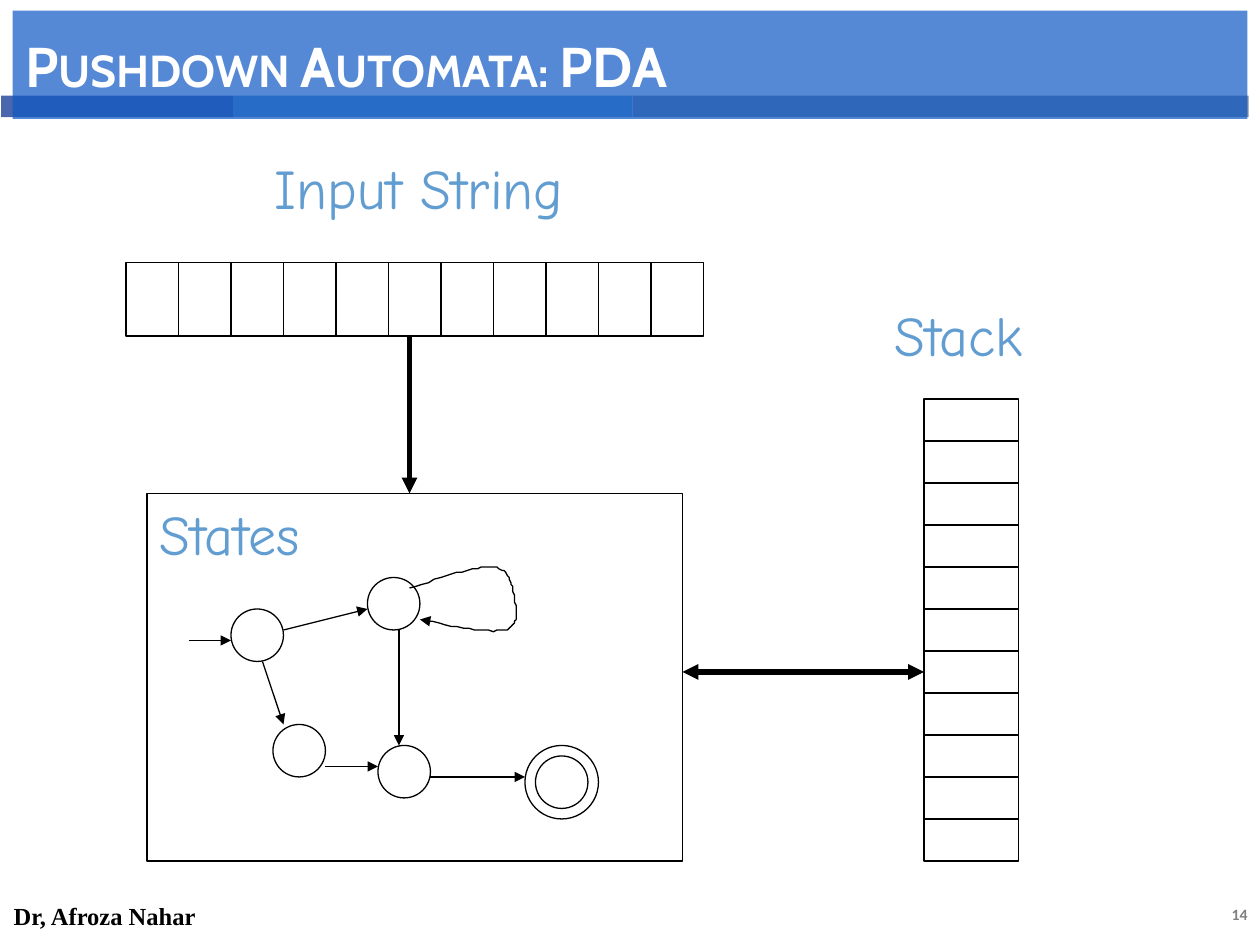
from dataclasses import dataclass

from pptx import Presentation
from pptx.dml.color import RGBColor
from pptx.enum.shapes import MSO_CONNECTOR, MSO_SHAPE
from pptx.enum.text import MSO_ANCHOR, PP_ALIGN
from pptx.oxml.ns import qn
from pptx.util import Pt
from lxml.etree import SubElement


@dataclass(frozen=True)
class Theme:
    """Colours, fonts, type sizes and line widths of the slide."""
    title_bar: str = "0E58C4"
    stripes: tuple = ("4A66AC", "629DD1", "7F8FA9")
    label: str = "629DD1"
    ink: str = "000000"
    white: str = "FFFFFF"
    grey: str = "808080"
    title_font: str = "Cabin"
    label_font: str = "Comic Neue"
    footer_font: str = "Times New Roman"
    number_font: str = "Calibri"
    large: float = 32
    footer: float = 14
    number: float = 9
    thin: float = 0.75
    thick: float = 3


THEME = Theme()


def write_text(shape, text, font, size, color, bold=False, align=PP_ALIGN.LEFT,
               anchor=MSO_ANCHOR.TOP, space_before=0, wrap=True, small_caps=False):
    """Put one formatted paragraph into a shape."""
    frame = shape.text_frame
    frame.word_wrap = wrap
    frame.vertical_anchor = anchor
    paragraph = frame.paragraphs[0]
    paragraph.alignment = align
    paragraph.space_before = Pt(space_before)
    run = paragraph.add_run()
    run.text = text
    run.font.name = font
    run.font.size = Pt(size)
    run.font.bold = bold
    run.font.color.rgb = RGBColor.from_string(color)
    if small_caps:
        run.font._element.set("cap", "small")


def add_text(shapes, box, text, **text_format):
    """Add a text box at left, top, width, height."""
    write_text(shapes.add_textbox(*map(Pt, box)), text, **text_format)


def add_label(shapes, box, text):
    """Add a large label naming a part of the automaton."""
    add_text(shapes, box, text, font=THEME.label_font, size=THEME.large,
             color=THEME.label, space_before=6.4, wrap=False)


def draw_line(shape, width):
    """Give a shape or connector a solid ink line."""
    shape.line.color.rgb = RGBColor.from_string(THEME.ink)
    shape.line.width = Pt(width)


def add_arrowheads(shape, *ends):
    """Add triangles to the named ends, headEnd before tailEnd."""
    line = shape._element.spPr.find(qn("a:ln"))
    for end in ends:
        SubElement(line, qn(f"a:{end}"), type="triangle")


def add_outline(shapes, kind, box):
    """Add an unfilled preset shape with a thin outline."""
    shape = shapes.add_shape(kind, *map(Pt, box))
    shape.shadow.inherit = False
    shape.fill.background()
    draw_line(shape, THEME.thin)


def add_line(shapes, start, end, *ends, width=THEME.thin):
    """Add a straight connector with optional arrowheads."""
    connector = shapes.add_connector(MSO_CONNECTOR.STRAIGHT, *map(Pt, start + end))
    draw_line(connector, width)
    add_arrowheads(connector, *ends)
    SubElement(connector._element.spPr, qn("a:effectLst"))


def bezier_points(start, curves, steps=16):
    """Return points along a chain of cubic curves."""
    points = [start]
    for first, second, end in curves:
        for step in range(1, steps + 1):
            t = step / steps
            weights = ((1 - t) ** 3, 3 * t * (1 - t) ** 2, 3 * t * t * (1 - t), t ** 3)
            anchors = (start, first, second, end)
            points.append(tuple(sum(w * a[axis] for w, a in zip(weights, anchors))
                                for axis in (0, 1)))
        start = end
    return points


def add_loop(shapes, start, curves):
    """Add the curved arrow from a state back to itself."""
    points = bezier_points(start, curves)
    builder = shapes.build_freeform(*points[0], scale=Pt(1))
    builder.add_line_segments(points[1:], close=False)
    loop = builder.convert_to_shape()
    loop.shadow.inherit = False
    loop.fill.background()
    draw_line(loop, THEME.thin)
    add_arrowheads(loop, "tailEnd")


def add_cells(shapes, box, count, across):
    """Add a box divided into equal cells, across or down."""
    left, top, width, height = box
    add_outline(shapes, MSO_SHAPE.RECTANGLE, box)
    for index in range(1, count):
        if across:
            x = left + width * index / count
            add_line(shapes, (x, top), (x, top + height))
        else:
            y = top + height * index / count
            add_line(shapes, (left, y), (left + width, y))


def add_stripes(shapes):
    """Add the three coloured stripes under the title bar."""
    edges = (0.72, 133.2, 361.44, 713.52)
    for color, left, right in zip(THEME.stripes, edges, edges[1:]):
        stripe = shapes.add_shape(MSO_SHAPE.RECTANGLE, Pt(left), Pt(54.72),
                                  Pt(right - left), Pt(12.24))
        stripe.shadow.inherit = False
        stripe.fill.solid()
        stripe.fill.fore_color.rgb = RGBColor.from_string(color)
        stripe.line.fill.background()


def add_title(slide, text):
    """Format the title as a translucent bar in front of the stripes."""
    title = slide.shapes.title
    title.left, title.top, title.width, title.height = map(Pt, (7.2, 6, 705.6, 61.92))
    title.fill.solid()
    title.fill.fore_color.rgb = RGBColor.from_string(THEME.title_bar)
    color = title._element.spPr.find(qn("a:solidFill"))[0]
    SubElement(color, qn("a:alpha"), val="70000")
    write_text(title, text, font=THEME.title_font, size=THEME.large, color=THEME.white,
               bold=True, anchor=MSO_ANCHOR.MIDDLE, space_before=6, small_caps=True)
    slide.shapes._spTree.append(title._element)


def add_states(shapes):
    """Add the state diagram inside its frame."""
    add_outline(shapes, MSO_SHAPE.RECTANGLE, (84, 282, 306, 210))
    circles = ((132, 348, 30), (216, 426, 30), (210, 330, 30),
               (306, 432, 30), (300, 426, 42), (156, 414, 30))
    for left, top, size in circles:
        add_outline(shapes, MSO_SHAPE.OVAL, (left, top, size, size))
    transitions = (((162, 360), (210, 348)), ((108, 366), (132, 366)),
                   ((246, 444), (300, 444)), ((186, 438), (216, 438)),
                   ((228, 360), (228, 426)), ((150, 378), (162, 414)))
    for start, end in transitions:
        add_line(shapes, start, end, "tailEnd")
    add_loop(shapes, (234, 336), (((253, 330), (272, 323), (282, 324)),
                                  ((292, 325), (293, 336), (294, 342)),
                                  ((295, 348), (297, 358), (288, 360)),
                                  ((279, 362), (259, 358), (240, 354))))
    add_label(shapes, (84, 282, 117, 52), "States")


def main():
    """Build and save the slide."""
    presentation = Presentation()
    presentation.slide_width, presentation.slide_height = Pt(720), Pt(540)
    slide = presentation.slides.add_slide(presentation.slide_layouts[5])
    shapes = slide.shapes
    add_text(shapes, (628.56, 513.36, 91.44, 18), "14", font=THEME.number_font,
             size=THEME.number, color=THEME.grey, bold=True, align=PP_ALIGN.RIGHT)
    add_stripes(shapes.add_group_shape().shapes)
    add_text(shapes, (0.72, 509, 482, 29), "Dr, Afroza Nahar", font=THEME.footer_font,
             size=THEME.footer, color=THEME.ink, bold=True, anchor=MSO_ANCHOR.MIDDLE)
    add_states(shapes)
    add_cells(shapes.add_group_shape().shapes, (72, 150, 330, 42), 11, across=True)
    add_cells(shapes, (528, 228, 54, 264), 11, across=False)
    add_line(shapes, (234, 192), (234, 282), "tailEnd", width=THEME.thick)
    add_line(shapes, (528, 384), (390, 384), "headEnd", "tailEnd", width=THEME.thick)
    add_label(shapes, (150, 84, 203, 52), "Input String")
    add_label(shapes, (504, 168, 102, 52), "Stack")
    add_title(slide, "Pushdown Automata: PDA")
    presentation.save("out.pptx")


if __name__ == "__main__":
    main()
